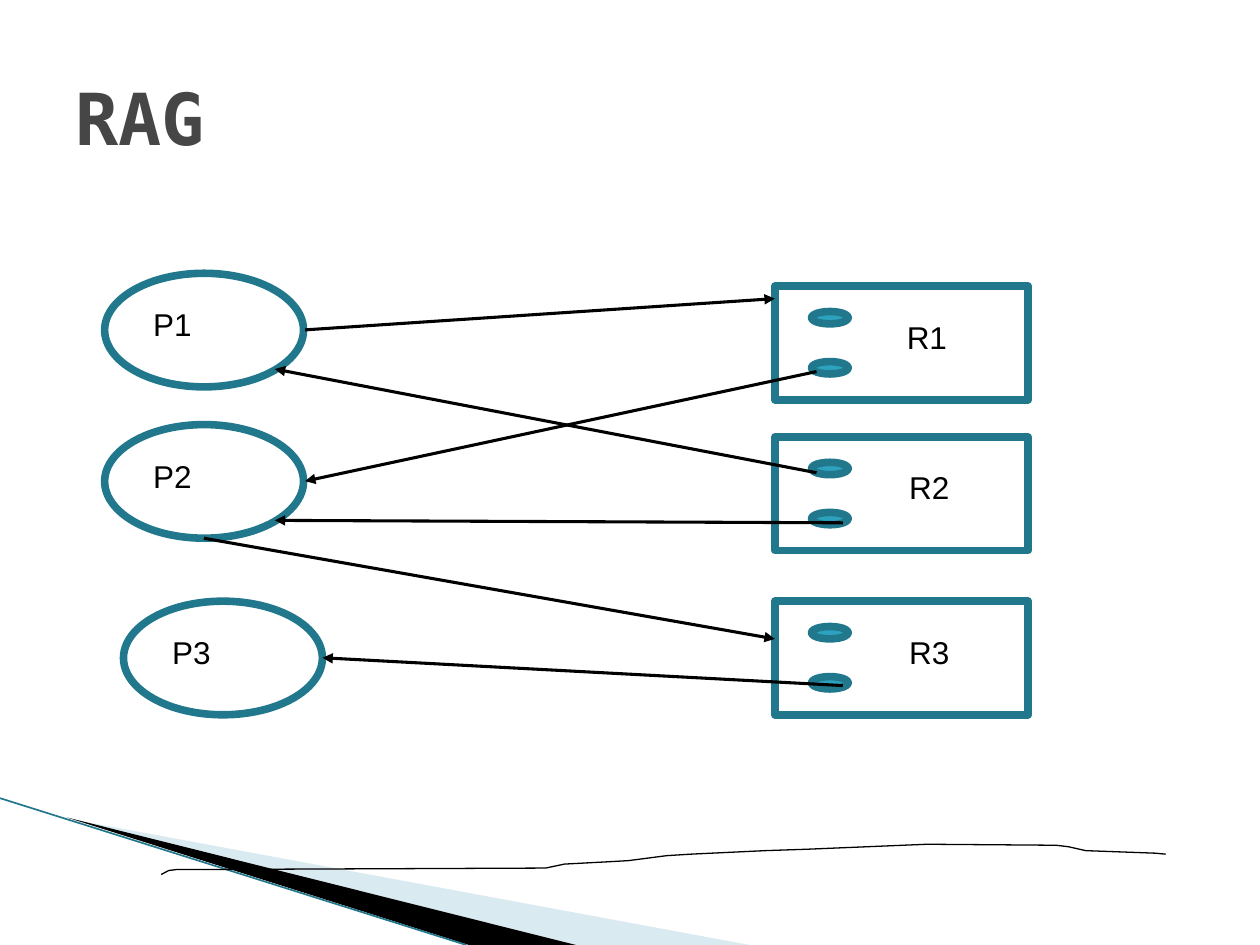
from pptx import Presentation
from pptx.dml.color import RGBColor
from pptx.enum.shapes import MSO_CONNECTOR as Connector, MSO_SHAPE as Preset
from pptx.enum.text import MSO_ANCHOR as Anchor
from pptx.oxml.ns import qn
from pptx.util import Cm, Pt
from lxml.etree import SubElement


def colour(value):
    return RGBColor.from_string(value)


class Diagram:
    outline = "21788D"
    accent = "2DA2BF"
    ink = "000000"
    outline_width = 4.33

    def __init__(self, slide):
        self.slide = slide

    def paint(self, shape, fill=None, line=None, width=1):
        shape.shadow.inherit = False
        if fill:
            shape.fill.solid()
            shape.fill.fore_color.rgb = colour(fill)
        else:
            shape.fill.background()
        if line:
            shape.line.color.rgb = colour(line)
            shape.line.width = Pt(width)
            SubElement(shape.line._get_or_add_ln(), qn("a:round"))
        else:
            shape.line.fill.background()

    def node(self, preset, left, top, width, height, fill=None):
        shape = self.slide.shapes.add_shape(
            preset, Cm(left), Cm(top), Cm(width), Cm(height))
        self.paint(shape, fill, self.outline, self.outline_width)

    def text(self, words, left, top, width, height, size=18,
             font="Arial", ink=ink, bold=False, anchor=Anchor.TOP):
        box = self.slide.shapes.add_textbox(
            Cm(left), Cm(top), Cm(width), Cm(height))
        frame = box.text_frame
        frame.word_wrap = True
        frame.vertical_anchor = anchor
        run = frame.paragraphs[0].add_run()
        run.text = words
        run.font.name = font
        run.font.size = Pt(size)
        run.font.bold = bold
        run.font.color.rgb = colour(ink)

    def line(self, start, end, ink=ink, width=1.75, arrow=True):
        connector = self.slide.shapes.add_connector(
            Connector.STRAIGHT, *[Cm(value) for value in start + end])
        connector.line.color.rgb = colour(ink)
        connector.line.width = Pt(width)
        if arrow:
            SubElement(connector.line._get_or_add_ln(),
                       qn("a:tailEnd"), type="triangle")
        SubElement(connector._element.spPr, qn("a:effectLst"))

    def freeform(self, points, fill=None, line=None, width=1, opacity=100):
        start, *others = [(Cm(x), Cm(y)) for x, y in points]
        builder = self.slide.shapes.build_freeform(*start)
        builder.add_line_segments(others, close=fill is not None)
        shape = builder.convert_to_shape()
        self.paint(shape, fill, line, width)
        if opacity < 100:
            tint = shape._element.spPr.find(qn("a:solidFill"))[0]
            SubElement(tint, qn("a:alpha"), val=str(opacity * 1000))

    def process(self, name, left, top):
        self.node(Preset.OVAL, left, top, 4.01, 2.29)
        self.text(name, left + 0.73, top + 0.52, 2.24, 1.22)

    def resource(self, name, top, label_left):
        self.node(Preset.RECTANGLE, 15.62, top, 5.11, 2.29)
        for offset in (0.51, 1.52):
            self.node(Preset.OVAL, 16.36, top + offset, 0.74, 0.25, self.accent)
        self.text(name, label_left, top + 0.51, 2.31, 1.22)


WAVE = [
    (3.25, 17.63), (3.4, 17.55), (3.56, 17.53), (3.78, 17.53), (11, 17.5),
    (11.38, 17.42), (12.32, 17.37), (12.67, 17.35), (13.44, 17.25),
    (13.92, 17.22), (15.42, 17.15), (16.28, 17.12), (18.69, 17.02),
    (21.29, 17.04), (21.54, 17.07), (21.89, 17.15), (23.29, 17.2),
    (23.5, 17.22),
]
PROCESSES = [("P1", 2.11, 5.51), ("P2", 2.11, 8.56), ("P3", 2.49, 12.12)]
RESOURCES = [("R1", 5.77, 18.03), ("R2", 8.81, 18.08), ("R3", 12.12, 18.08)]
ARROWS = [
    ((6.15, 6.65), (15.62, 6.02)),
    ((16.46, 7.49), (6.15, 9.7)),
    ((16.46, 9.53), (5.54, 7.44)),
    ((16.99, 10.54), (5.54, 10.49)),
    ((4.11, 10.85), (15.62, 12.88)),
    ((16.99, 13.82), (6.5, 13.26)),
]


def main():
    presentation = Presentation()
    presentation.slide_width = Cm(25.4)
    presentation.slide_height = Cm(19.05)
    slide = presentation.slides.add_slide(presentation.slide_layouts[6])
    diagram = Diagram(slide)

    diagram.freeform([(1.4, 16.51), (15.11, 19.05), (11.58, 19.05)],
                     fill="A0CBDC", opacity=40)
    diagram.freeform([(1.35, 16.48), (11.61, 19.05), (9.45, 19.05)],
                     fill=diagram.ink)
    diagram.line((0, 16.09), (9.4, 19.05), diagram.outline, 0.95, arrow=False)
    diagram.freeform(WAVE, line=diagram.ink, width=0.75)

    diagram.text("RAG", 1.27, 0.76, 22.86, 3.18, 41, "DejaVu Sans Mono",
                 "464646", True, Anchor.MIDDLE)
    for resource in RESOURCES:
        diagram.resource(*resource)
    for process in PROCESSES:
        diagram.process(*process)
    for start, end in ARROWS:
        diagram.line(start, end)

    presentation.save("out.pptx")


if __name__ == "__main__":
    main()
